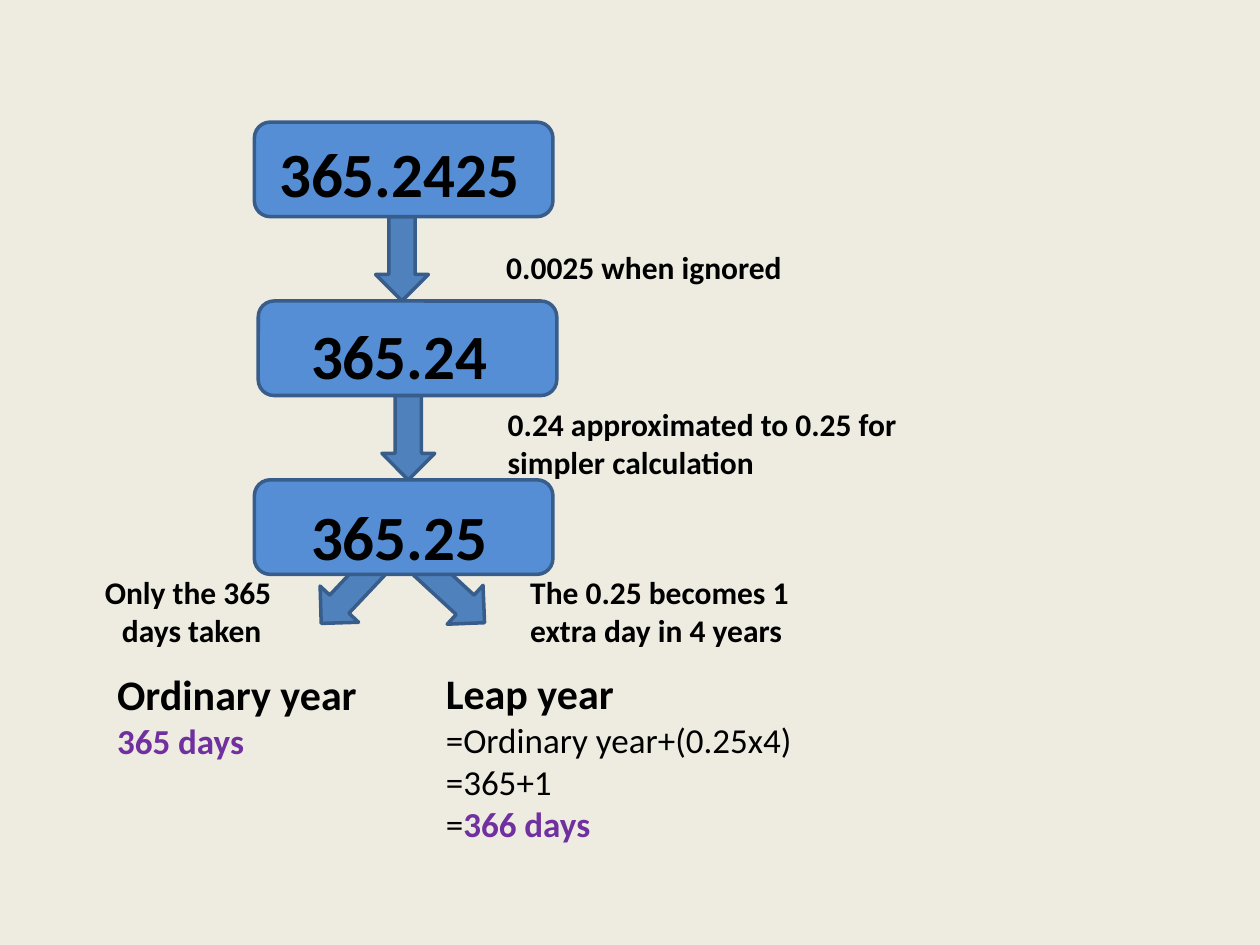
from dataclasses import dataclass

from pptx import Presentation
from pptx.dml.color import RGBColor
from pptx.enum import shapes, text
from pptx.util import Pt


@dataclass(frozen=True)
class Theme:
    font: str = "Calibri"
    background: RGBColor = RGBColor(0xEE, 0xEC, 0xE1)
    box: RGBColor = RGBColor(0x55, 0x8E, 0xD5)
    arrow: RGBColor = RGBColor(0x4F, 0x81, 0xBD)
    outline: RGBColor = RGBColor(0x38, 0x5D, 0x8A)
    ink: RGBColor = RGBColor(0, 0, 0)
    accent: RGBColor = RGBColor(0x70, 0x30, 0xA0)
    number: int = 36
    heading: int = 24
    body: int = 20
    note: int = 18
    outline_width: int = 2


THEME = Theme()


@dataclass(frozen=True)
class Block:
    kind: shapes.MSO_SHAPE
    left: float
    top: float
    width: float
    height: float
    fill: RGBColor
    rotation: float = 0


@dataclass(frozen=True)
class Run:
    text: str
    bold: bool = True
    color: RGBColor = THEME.ink


@dataclass(frozen=True)
class Line:
    runs: tuple[Run, ...]
    size: int = THEME.note
    space_before: float = 0


@dataclass(frozen=True)
class Label:
    left: float
    top: float
    width: float
    height: float
    lines: tuple[Line, ...]
    centered: bool = False
    wrap: bool = True


BOX_WIDTH, BOX_HEIGHT = 170.6, 54
ARROW_WIDTH, ARROW_HEIGHT = 30.2, 48.2
FIRST_TOP = 69.8
STEP = BOX_HEIGHT + ARROW_HEIGHT
NUMBER_GAP = 60.4


def box(step: int, left: float) -> Block:
    return Block(shapes.MSO_SHAPE.ROUNDED_RECTANGLE, left, FIRST_TOP + step * STEP,
                 BOX_WIDTH, BOX_HEIGHT, THEME.box)


def arrow(left: float, top: float, rotation: float = 0) -> Block:
    return Block(shapes.MSO_SHAPE.DOWN_ARROW, left, top,
                 ARROW_WIDTH, ARROW_HEIGHT, THEME.arrow, rotation)


def arrow_below(step: int, left: float) -> Block:
    return arrow(left, FIRST_TOP + step * STEP + BOX_HEIGHT)


# Back to front, so that each box covers the tails of the arrows leaving it.
BLOCKS = (
    arrow(185, 314.6, 43.3),
    arrow(244.1, 315.4, 312.7),
    box(2, 145.4),
    arrow_below(1, 218.2),
    box(1, 147.6),
    arrow_below(0, 214.6),
    box(0, 145.4),
)

NUMBERS = tuple(
    Line((Run(number),), THEME.number, NUMBER_GAP if index else 0)
    for index, number in enumerate(("365.2425", "365.24", "365.25"))
)

LABELS = (
    Label(120.2, 73.5, 216, 288, NUMBERS, centered=True),
    Label(59.8, 378.7, 154.8, 60.5, (
        Line((Run("Ordinary year"),), THEME.heading),
        Line((Run("365 days", color=THEME.accent),), THEME.body),
    )),
    Label(247.7, 378, 212.4, 132.5, (
        Line((Run("Leap year"),), THEME.heading),
        Line((Run("=Ordinary year+(0.25x4)", bold=False),), THEME.body),
        Line((Run("=365+1", bold=False),), THEME.body),
        Line((Run("=", bold=False), Run("366 days", color=THEME.accent)), THEME.body),
    ), wrap=False),
    Label(282.2, 138.2, 174.2, 28.8, (Line((Run("0.0025 when ignored"),)),)),
    Label(283, 228.2, 270, 50.4,
          (Line((Run("0.24 approximated to 0.25 for simpler calculation"),)),)),
    Label(52.6, 324, 113.8, 50.4,
          (Line((Run("Only the 365 "),)), Line((Run("days taken"),))),
          centered=True, wrap=False),
    Label(295.9, 324, 203.8, 50.4,
          (Line((Run("The 0.25 becomes 1 extra day in 4 years"),)),)),
)


def draw_block(slide, block: Block) -> None:
    shape = slide.shapes.add_shape(block.kind, Pt(block.left), Pt(block.top),
                                   Pt(block.width), Pt(block.height))
    shape.rotation = block.rotation
    shape.shadow.inherit = False
    shape.fill.solid()
    shape.fill.fore_color.rgb = block.fill
    shape.line.color.rgb = THEME.outline
    shape.line.width = Pt(THEME.outline_width)


def write_line(paragraph, line: Line, centered: bool) -> None:
    paragraph.alignment = text.PP_ALIGN.CENTER if centered else text.PP_ALIGN.LEFT
    if line.space_before:
        paragraph.space_before = Pt(line.space_before)
    paragraph.font.name = THEME.font
    paragraph.font.size = Pt(line.size)
    for part in line.runs:
        run = paragraph.add_run()
        run.text = part.text
        run.font.bold = part.bold
        run.font.color.rgb = part.color


def draw_label(slide, label: Label) -> None:
    shape = slide.shapes.add_textbox(Pt(label.left), Pt(label.top),
                                     Pt(label.width), Pt(label.height))
    frame = shape.text_frame
    frame.word_wrap = label.wrap
    for index, line in enumerate(label.lines):
        paragraph = frame.add_paragraph() if index else frame.paragraphs[0]
        write_line(paragraph, line, label.centered)


def main() -> None:
    presentation = Presentation()
    presentation.slide_width, presentation.slide_height = Pt(720), Pt(540)
    slide = presentation.slides.add_slide(presentation.slide_layouts[6])
    slide.background.fill.solid()
    slide.background.fill.fore_color.rgb = THEME.background
    for block in BLOCKS:
        draw_block(slide, block)
    for label in LABELS:
        draw_label(slide, label)
    presentation.save("out.pptx")


if __name__ == "__main__":
    main()
